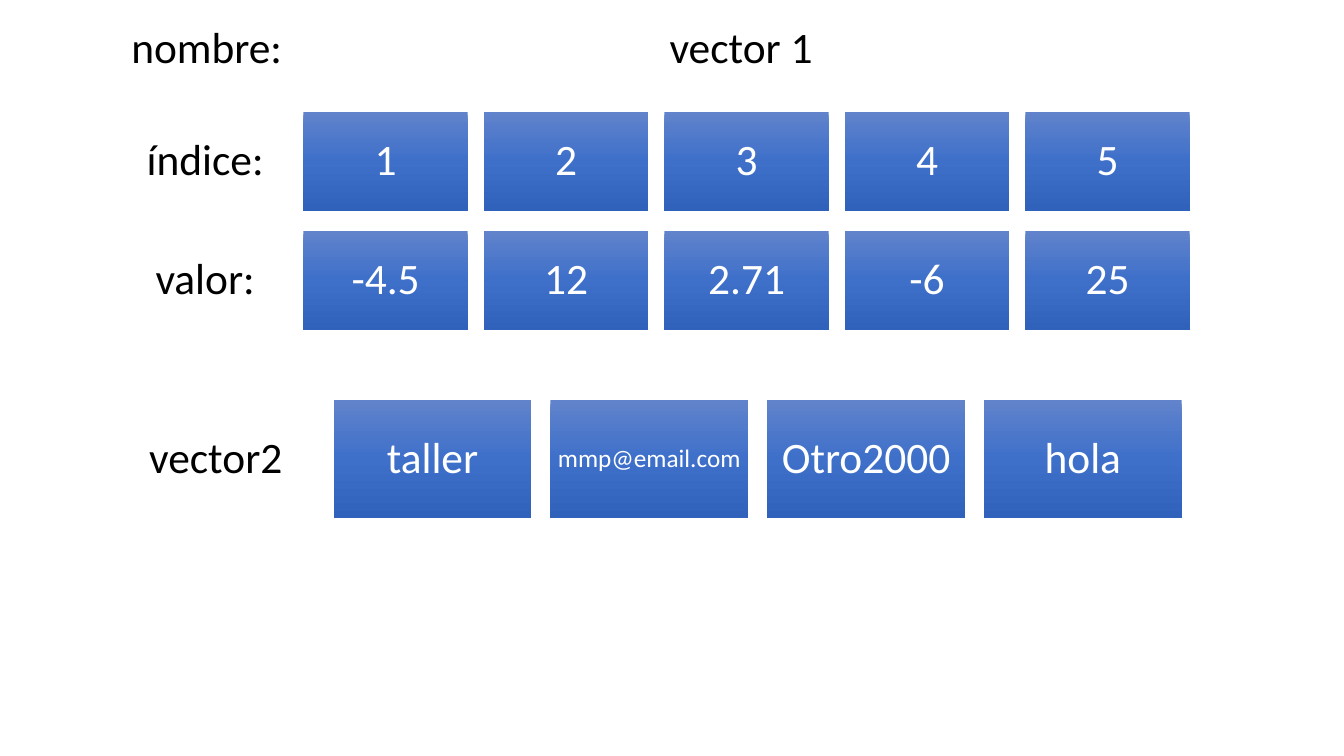
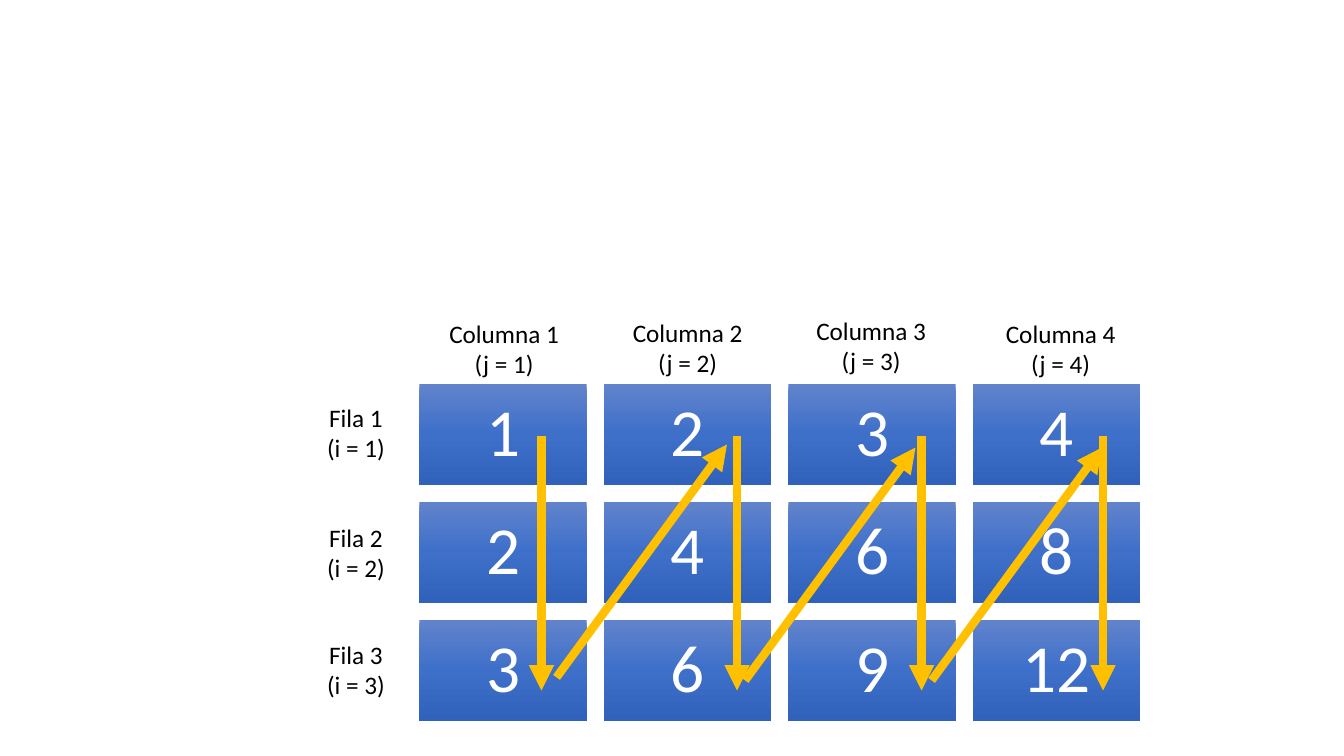
from copy import deepcopy

from pptx import Presentation
from pptx.dml.color import RGBColor
from pptx.enum.shapes import MSO_CONNECTOR, MSO_SHAPE
from pptx.enum.text import MSO_ANCHOR, PP_ALIGN
from pptx.oxml.ns import qn
from pptx.util import Pt

RECTANGLE = MSO_SHAPE.RECTANGLE
STRAIGHT = MSO_CONNECTOR.STRAIGHT
MIDDLE, TOP = MSO_ANCHOR.MIDDLE, MSO_ANCHOR.TOP
CENTER = PP_ALIGN.CENTER

PX = 9144  # EMU per px, 100 px to the inch
WIDTH, HEIGHT = 1333, 750
FONT = "Calibri"
WHITE = RGBColor(0xFF, 0xFF, 0xFF)
BLACK = RGBColor(0x00, 0x00, 0x00)
AMBER = RGBColor(0xFF, 0xC0, 0x00)
CELL_GRADIENT = [
    (0, RGBColor(0x61, 0x83, 0xCB)),
    (0.5, RGBColor(0x3E, 0x70, 0xCA)),
    (1, RGBColor(0x30, 0x62, 0xBB)),
]


class Deck:
    """Shared style plus the slide being drawn."""

    def __init__(self):
        self.prs = Presentation()
        self.prs.slide_width = WIDTH * PX
        self.prs.slide_height = HEIGHT * PX
        self.slide = None

    def new_slide(self):
        self.slide = self.prs.slides.add_slide(self.prs.slide_layouts[6])

    def set_text(self, shape, text, size, color, anchor, inset, spacing):
        frame = shape.text_frame
        frame.text = text
        frame.word_wrap = False
        frame.vertical_anchor = anchor
        frame.margin_left = frame.margin_right = inset * PX
        frame.margin_top = frame.margin_bottom = inset * PX
        for paragraph in frame.paragraphs:
            paragraph.alignment = CENTER
            paragraph.line_spacing = spacing
            for run in paragraph.runs:
                run.font.name = FONT
                run.font.size = Pt(size)
                run.font.color.rgb = color

    def cell(self, x, y, w, h, text, size=31):
        box = self.slide.shapes.add_shape(RECTANGLE, x * PX, y * PX, w * PX, h * PX)
        box.shadow.inherit = False
        box.line.fill.background()
        box.fill.gradient()
        box.fill.gradient_angle = 270
        # The default gradient has two stops; add the third
        first_stop = next(box.element.iter(qn("a:gs")))
        first_stop.addnext(deepcopy(first_stop))
        for stop, (position, color) in zip(box.fill.gradient_stops, CELL_GRADIENT):
            stop.position = position
            stop.color.rgb = color
        self.set_text(box, text, size, WHITE, MIDDLE, 7 if size < 31 else 13, 0.9)

    def label(self, x, y, w, h, text):
        box = self.slide.shapes.add_textbox(x * PX, y * PX, w * PX, h * PX)
        self.set_text(box, text, 31, BLACK, MIDDLE, 13, 0.9)

    def heading(self, x, y, w, text):
        box = self.slide.shapes.add_textbox(x * PX, y * PX, w * PX, 71 * PX)
        self.set_text(box, text, 18, BLACK, TOP, 5, 1.0)

    def vector(self, x, y, w, h, pitch, name, values, sizes):
        self.label(x - pitch, y, w, h, name)
        for i, value in enumerate(values):
            self.cell(x + i * pitch, y, w, h, value, sizes.get(i, 31))

    def arrow(self, x1, y1, x2, y2):
        connector = self.slide.shapes.add_connector(
            STRAIGHT, x1 * PX, y1 * PX, x2 * PX, y2 * PX)
        connector.line.color.rgb = AMBER
        connector.line.width = Pt(6)
        properties = connector.element.spPr
        outline = properties.find(qn("a:ln"))
        outline.append(outline.makeelement(qn("a:tailEnd"), {"type": "triangle"}))
        properties.append(properties.makeelement(qn("a:effectLst"), {}))


def vectors_slide(deck):
    deck.new_slide()
    # Name of the first vector
    deck.label(85, 0, 240, 98, "nombre:")
    deck.label(615, 0, 240, 98, "vector 1")
    # Indexes and values
    deck.vector(301, 111, 163, 98, 179, "índice:", ["1", "2", "3", "4", "5"], {})
    deck.vector(301, 229, 163, 98, 179, "valor:",
                ["-4.5", "12", "2.71", "-6", "25"], {})
    # Second vector, whose long address is set smaller
    deck.vector(331, 397, 196, 117, 215, "vector2",
                ["taller", "mmp@email.com", "Otro2000", "hola"], {1: 18})


def matrix_slide(deck):
    deck.new_slide()
    column_headings = [(420, 311), (602, 310), (784, 308), (972, 311)]
    row_heading_tops = [394, 513, 629]

    # Each value is the product of its row and column
    for i in range(1, len(row_heading_tops) + 1):
        for j in range(1, len(column_headings) + 1):
            deck.cell(416 + 183 * (j - 1), 381 + 117 * (i - 1), 166, 100,
                      str(i * j), 48)

    # Headings
    for j, (x, y) in enumerate(column_headings, 1):
        deck.heading(x, y, 160, f"Columna {j}\n(j = {j})")
    for i, y in enumerate(row_heading_tops, 1):
        deck.heading(302, y, 102, f"Fila {i}\n(i = {i})")

    # Column-by-column path: down each column, then up to the next
    for x in (537, 731, 914, 1094):
        deck.arrow(x, 433, x, 685)
    for x, y in ((552, 672), (739, 675), (924, 675)):
        deck.arrow(x, y, x + 169, y - 231)


def main():
    deck = Deck()
    vectors_slide(deck)
    matrix_slide(deck)
    deck.prs.save("out.pptx")


if __name__ == "__main__":
    main()
